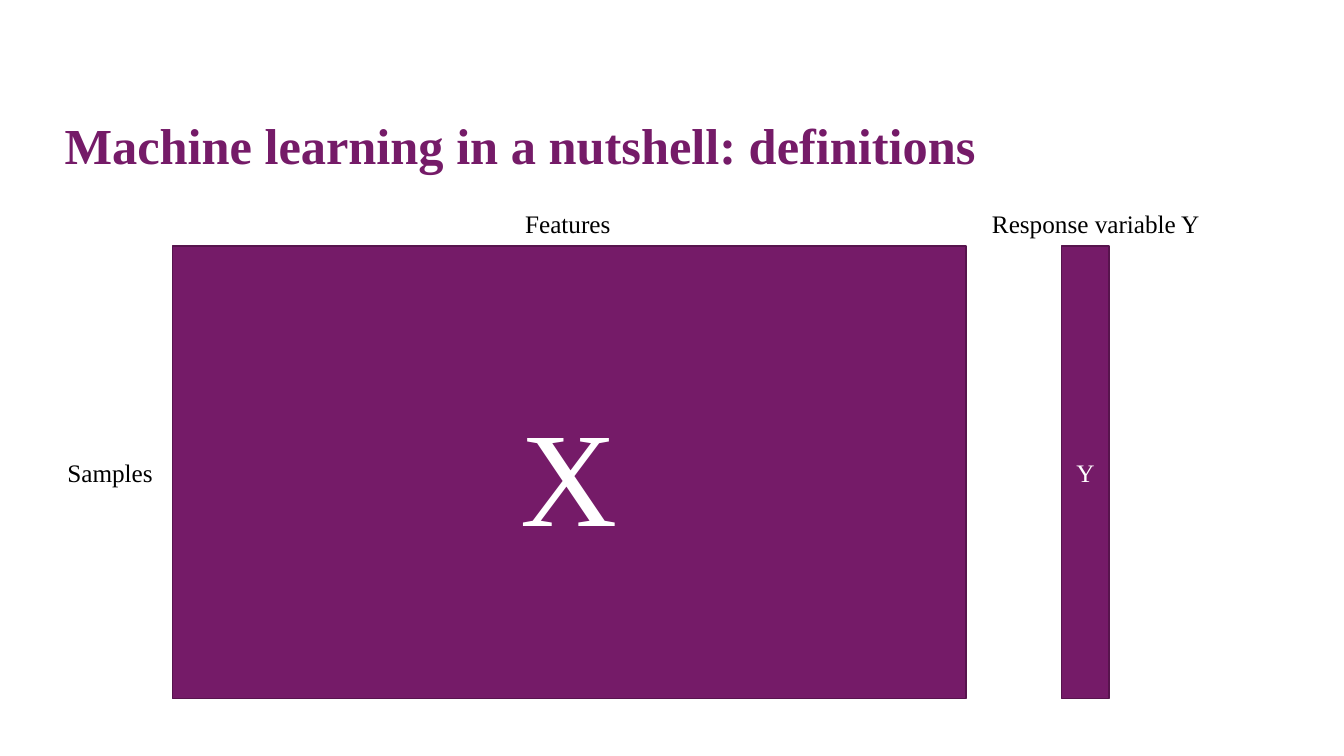
"""Build the slide defining samples, features and the response variable."""
from dataclasses import dataclass

import pptx
import pptx.dml.color
import pptx.enum.shapes
import pptx.enum.text
import pptx.presentation
import pptx.slide
import pptx.text.text
import pptx.util

Inches = pptx.util.Inches
RGBColor = pptx.dml.color.RGBColor
Align = pptx.enum.text.PP_ALIGN
Anchor = pptx.enum.text.MSO_ANCHOR
AutoSize = pptx.enum.text.MSO_AUTO_SIZE


@dataclass(frozen=True)
class Theme:
    font: str = "Times New Roman"
    purple: RGBColor = RGBColor(0x75, 0x1B, 0x68)
    outline: RGBColor = RGBColor(0x57, 0x14, 0x4D)
    white: RGBColor = RGBColor(0xFF, 0xFF, 0xFF)
    black: RGBColor = RGBColor(0x00, 0x00, 0x00)
    title_size: int = 36
    label_size: int = 18
    matrix_size: int = 96


@dataclass(frozen=True)
class DataBlock:
    symbol: str
    left: float
    width: float
    size: int


@dataclass(frozen=True)
class Label:
    text: str
    left: float
    top: float
    width: float


THEME = Theme()
BLOCK_TOP, BLOCK_HEIGHT = 2.44, 4.49
LABEL_HEIGHT = 0.4
HEADING_TOP = BLOCK_TOP - 0.42
SAMPLES_TOP = BLOCK_TOP + (BLOCK_HEIGHT - LABEL_HEIGHT) / 2

BLOCKS = (
    DataBlock("X", 1.71, 7.87, THEME.matrix_size),
    DataBlock("Y", 10.53, 0.47, THEME.label_size),
)
LABELS = (
    Label("Samples", 0.57, SAMPLES_TOP, 1.06),
    Label("Features", 5.11, HEADING_TOP, 1.06),
    Label("Response variable Y", 9.74, HEADING_TOP, 2.28),
)


def write(frame: pptx.text.text.TextFrame, text: str, size: int, color: RGBColor,
          align: Align = Align.LEFT, bold: bool = False) -> None:
    paragraph = frame.paragraphs[0]
    paragraph.alignment = align
    run = paragraph.add_run()
    run.text = text
    run.font.name = THEME.font
    run.font.size = pptx.util.Pt(size)
    run.font.bold = bold
    run.font.color.rgb = color


def add_title(slide: pptx.slide.Slide, text: str) -> None:
    title = slide.shapes.title
    title.left, title.top = Inches(0.54), Inches(0.76)
    title.width, title.height = Inches(12.2), Inches(1.02)
    frame = title.text_frame
    frame.auto_size = AutoSize.NONE
    frame.vertical_anchor = Anchor.BOTTOM
    write(frame, text, THEME.title_size, THEME.purple, bold=True)


def add_block(slide: pptx.slide.Slide, block: DataBlock) -> None:
    rectangle = slide.shapes.add_shape(
        pptx.enum.shapes.MSO_SHAPE.RECTANGLE, Inches(block.left), Inches(BLOCK_TOP),
        Inches(block.width), Inches(BLOCK_HEIGHT))
    rectangle.shadow.inherit = False
    rectangle.fill.solid()
    rectangle.fill.fore_color.rgb = THEME.purple
    rectangle.line.color.rgb = THEME.outline
    rectangle.line.width = pptx.util.Pt(1)
    rectangle.text_frame.vertical_anchor = Anchor.MIDDLE
    write(rectangle.text_frame, block.symbol, block.size, THEME.white, Align.CENTER)


def add_label(slide: pptx.slide.Slide, label: Label) -> None:
    frame = slide.shapes.add_textbox(
        Inches(label.left), Inches(label.top),
        Inches(label.width), Inches(LABEL_HEIGHT)).text_frame
    frame.word_wrap = False
    frame.auto_size = AutoSize.SHAPE_TO_FIT_TEXT
    write(frame, label.text, THEME.label_size, THEME.black)


def build() -> pptx.presentation.Presentation:
    presentation = pptx.Presentation()
    presentation.slide_width = Inches(13.33)
    presentation.slide_height = Inches(7.5)
    title_only = presentation.slide_layouts.get_by_name("Title Only")
    slide = presentation.slides.add_slide(title_only)
    add_title(slide, "Machine learning in a nutshell: definitions")
    for block in BLOCKS:
        add_block(slide, block)
    for label in LABELS:
        add_label(slide, label)
    return presentation


if __name__ == "__main__":
    build().save("out.pptx")
